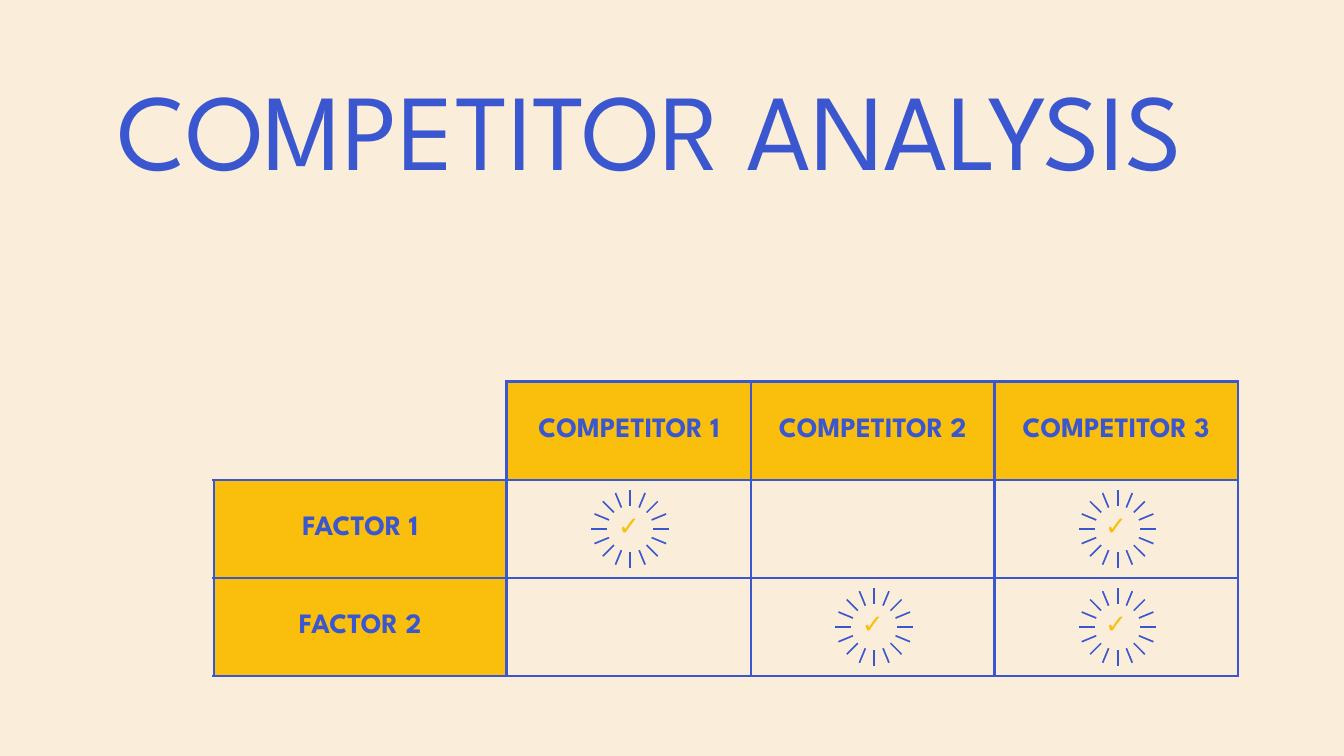
import math

import lxml.etree
import pptx
import pptx.dml.color
import pptx.enum.text
import pptx.oxml.ns
import pptx.util

Inches = pptx.util.Inches
Pt = pptx.util.Pt

COLORS = {"cream": "FAEDD9", "blue": "3B57CF", "yellow": "FABE0C"}
FONT = "League Spartan"
TITLE_FORMAT = {"name": FONT, "size": Pt(58), "bold": False}
HEADER_FORMAT = {"name": FONT, "size": Pt(15), "bold": True}
CHECK_FORMAT = {"name": FONT, "size": Pt(14), "bold": False}

# Comparison grid, in inches
TABLE_LEFT, TABLE_TOP = 1.59, 2.84
COLUMN_WIDTHS = [2.18, 1.82, 1.81, 1.81]
ROW_HEIGHT = 0.73
CHECK = "✓"
ROWS = [
    ["", "COMPETITOR 1", "COMPETITOR 2", "COMPETITOR 3"],
    ["FACTOR 1", CHECK, "", CHECK],
    ["FACTOR 2", "", CHECK, CHECK],
]

# Burst around each check mark, in inches
RAY_COUNT = 16
RAY_INNER, RAY_OUTER = 0.16, 0.3
RAY_WIDTH = 0.07 / 2
BURST_SHIFT = 0.01


def rgb(name):
    return pptx.dml.color.RGBColor.from_string(COLORS[name])


def set_font(paragraph, font_format, color):
    for run in paragraph.runs:
        for attribute, value in font_format.items():
            setattr(run.font, attribute, value)
        run.font.color.rgb = rgb(color)


def set_margins(frame):
    for side in ("left", "right", "top", "bottom"):
        setattr(frame, f"margin_{side}", Inches(0.1))


def add_title(slide, text):
    box = slide.shapes.add_textbox(Inches(0.78), Inches(0.36), Inches(8.44), Inches(1.06))
    frame = box.text_frame
    frame.word_wrap = True
    set_margins(frame)
    paragraph = frame.paragraphs[0]
    paragraph.text = text
    paragraph.line_spacing = Pt(70)
    set_font(paragraph, TITLE_FORMAT, "blue")


def set_borders(cell, hidden_sides):
    properties = cell._tc.get_or_add_tcPr()
    qualified = pptx.oxml.ns.qn
    for side in "LRTB":
        line = lxml.etree.SubElement(properties, qualified(f"a:ln{side}"), w=str(Pt(1.5)))
        if side in hidden_sides:
            lxml.etree.SubElement(line, qualified("a:noFill"))
        else:
            fill = lxml.etree.SubElement(line, qualified("a:solidFill"))
            lxml.etree.SubElement(fill, qualified("a:srgbClr"), val=COLORS["blue"])


def format_cell(cell, text, is_corner):
    set_borders(cell, "LT" if is_corner else "")
    set_margins(cell)
    cell.vertical_anchor = pptx.enum.text.MSO_ANCHOR.MIDDLE
    is_header = text not in ("", CHECK)
    if is_header:
        cell.fill.solid()
        cell.fill.fore_color.rgb = rgb("yellow")
    else:
        cell.fill.background()
    if text:
        cell.text = text
        paragraph = cell.text_frame.paragraphs[0]
        paragraph.alignment = pptx.enum.text.PP_ALIGN.CENTER
        if is_header:
            set_font(paragraph, HEADER_FORMAT, "blue")
        else:
            set_font(paragraph, CHECK_FORMAT, "yellow")


def add_comparison_table(slide):
    table = slide.shapes.add_table(
        len(ROWS), len(COLUMN_WIDTHS), Inches(TABLE_LEFT), Inches(TABLE_TOP),
        Inches(sum(COLUMN_WIDTHS)), Inches(ROW_HEIGHT * len(ROWS)),
    ).table
    table.first_row = table.horz_banding = False
    for column, width in zip(table.columns, COLUMN_WIDTHS):
        column.width = Inches(width)
    for row_index, texts in enumerate(ROWS):
        table.rows[row_index].height = Inches(ROW_HEIGHT)
        for column_index, text in enumerate(texts):
            is_corner = row_index == column_index == 0
            format_cell(table.cell(row_index, column_index), text, is_corner)


def add_ray(group, center_x, center_y, angle):
    cosine, sine = math.cos(angle), math.sin(angle)
    half = RAY_WIDTH / 2
    corners = [(RAY_INNER, -half), (RAY_OUTER, -half), (RAY_OUTER, half), (RAY_INNER, half)]
    points = [
        (Inches(center_x + along * cosine - across * sine),
         Inches(center_y + along * sine + across * cosine))
        for along, across in corners
    ]
    builder = group.shapes.build_freeform(*points[0])
    builder.add_line_segments(points[1:], close=True)
    ray = builder.convert_to_shape()
    ray.shadow.inherit = False
    ray.fill.solid()
    ray.fill.fore_color.rgb = rgb("blue")
    ray.line.color.rgb = rgb("cream")
    ray.line.width = Pt(1.5)


def add_burst(slide, center_x, center_y):
    group = slide.shapes.add_group_shape()
    for index in range(RAY_COUNT):
        add_ray(group, center_x, center_y, 2 * math.pi * index / RAY_COUNT)


def add_bursts(slide):
    for row_index, texts in enumerate(ROWS):
        center_y = TABLE_TOP + ROW_HEIGHT * (row_index + 0.5)
        for column_index, text in enumerate(texts):
            if text == CHECK:
                left = TABLE_LEFT + sum(COLUMN_WIDTHS[:column_index])
                center_x = left + COLUMN_WIDTHS[column_index] / 2 + BURST_SHIFT
                add_burst(slide, center_x, center_y)


def main():
    presentation = pptx.Presentation()
    # Widescreen, 16:9
    presentation.slide_width = Inches(10)
    presentation.slide_height = Inches(10) * 9 // 16
    slide = presentation.slides.add_slide(presentation.slide_layouts[6])

    # Background
    slide.background.fill.solid()
    slide.background.fill.fore_color.rgb = rgb("cream")

    # Table, check mark bursts and title
    add_comparison_table(slide)
    add_bursts(slide)
    add_title(slide, "COMPETITOR ANALYSIS")

    presentation.save("out.pptx")


if __name__ == "__main__":
    main()
